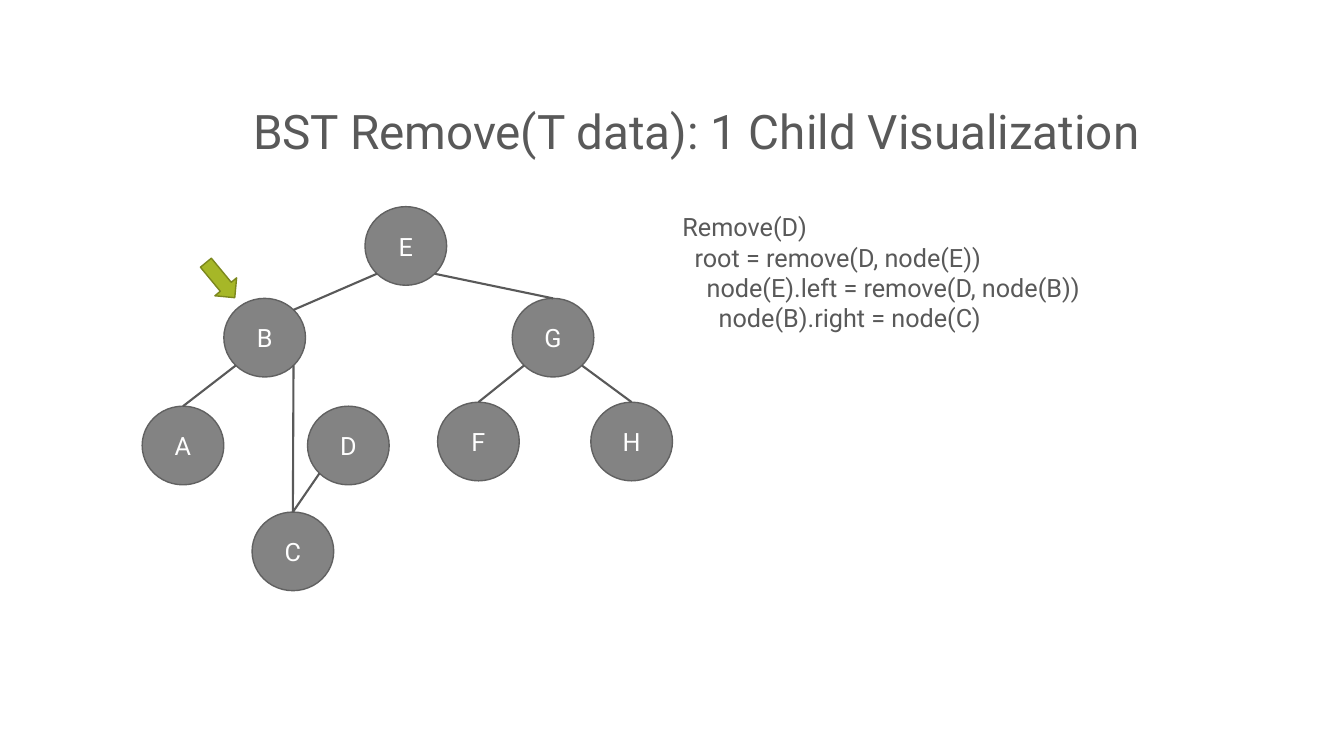
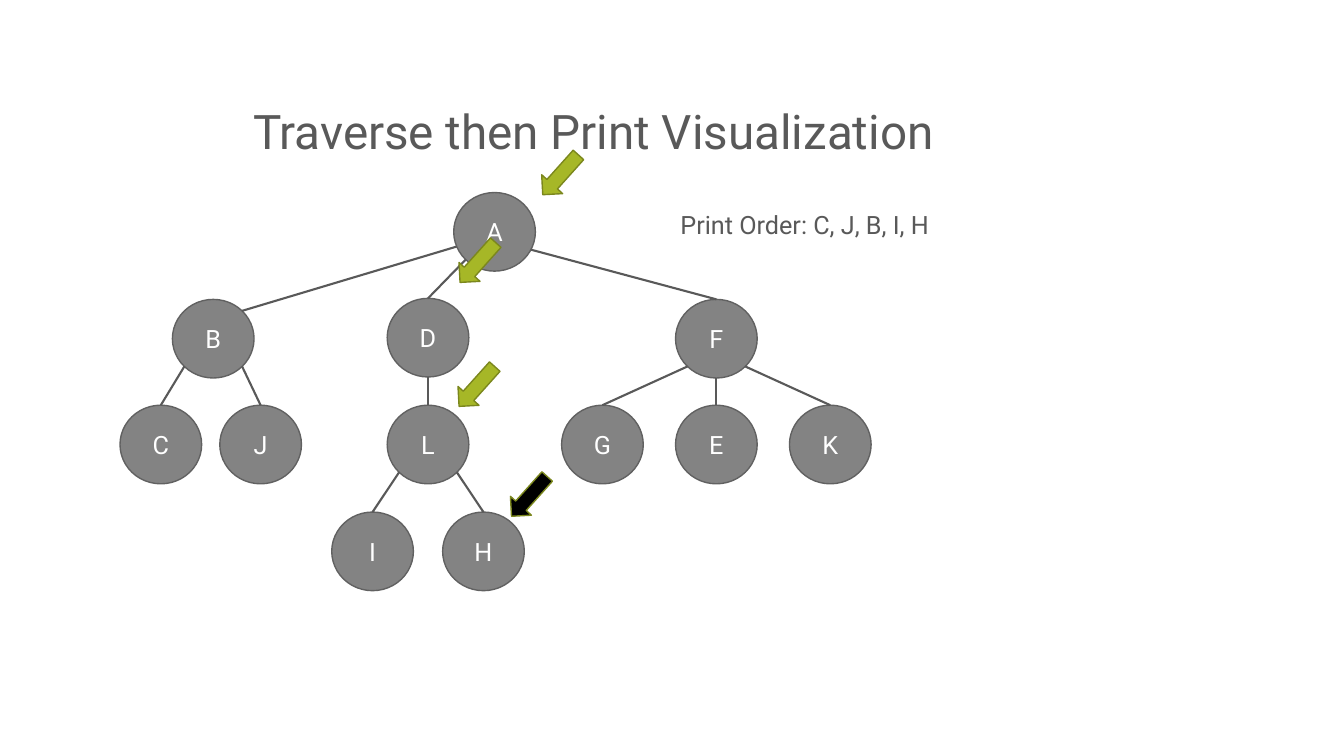
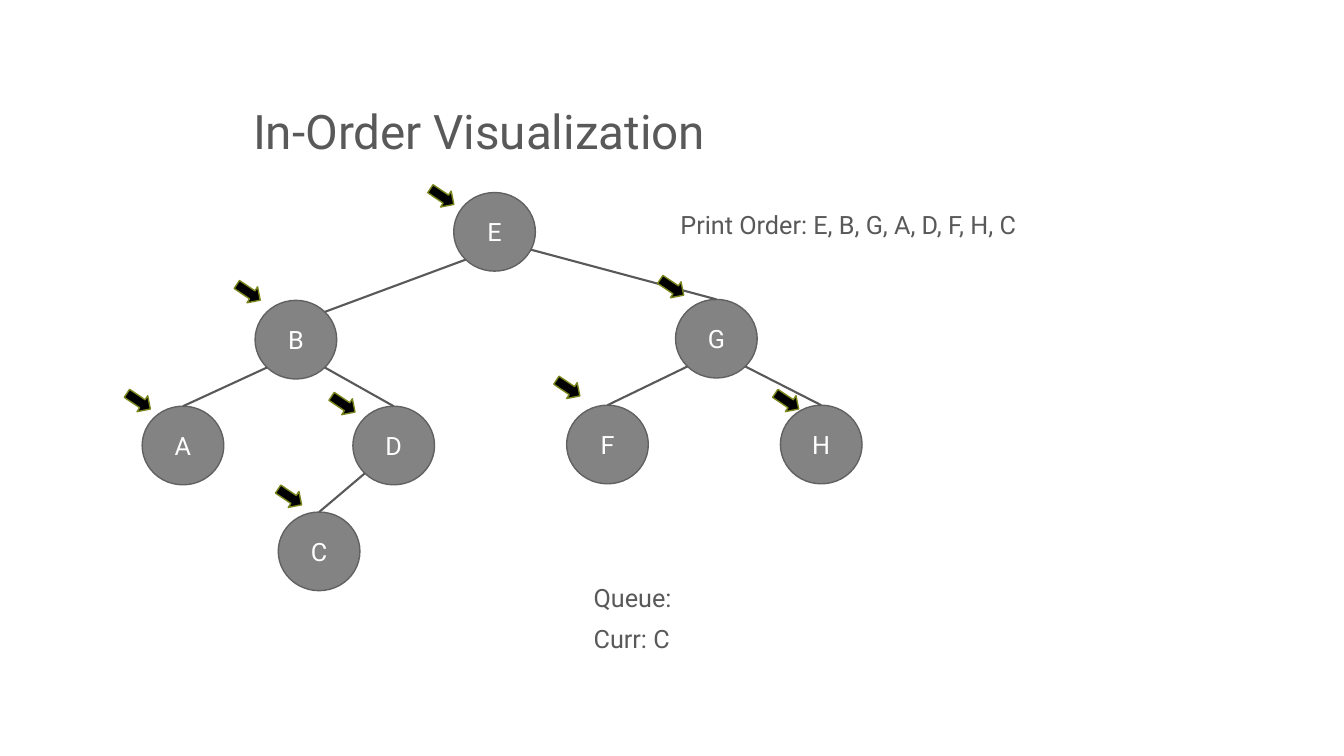
import math

from lxml import etree
from pptx import Presentation
from pptx.dml.color import RGBColor
from pptx.enum import shapes, text
from pptx.oxml.ns import qn
from pptx.util import Pt

PX = 9144  # EMU per px, 100 px to the inch
FONT = "Roboto"
INK, WHITE, BLACK = "595959", "FFFFFF", "000000"
NODE_FILL, NODE_LINE = "838383", "616161"
GREEN, ARROW_LINE = "A6B727", "7B871D"
NODE_WIDTH, NODE_HEIGHT = 81, 78
INDENT = 12

# Where an edge meets a node: degrees clockwise from the right
RIGHT_LOW, LOWER_RIGHT, BOTTOM, LOWER_LEFT = 27, 45, 90, 135
LEFT_LOW, TOP, UPPER_RIGHT = 158, 270, 315


def emu(*lengths):
    return [round(length * PX) for length in lengths]


def color(hex_code):
    return RGBColor.from_string(hex_code)


def format_runs(paragraph, size, hex_code):
    for run in paragraph.runs:
        run.font.name = FONT
        run.font.size = Pt(size)
        run.font.color.rgb = color(hex_code)


def add_titled_slide(presentation, title):
    slide = presentation.slides.add_slide(presentation.slide_layouts[5])
    shape = slide.shapes.title
    shape.left, shape.top, shape.width, shape.height = emu(241, 33, 1025, 131)
    frame = shape.text_frame
    frame.text = title
    frame.word_wrap = True
    frame.auto_size = text.MSO_AUTO_SIZE.NONE
    frame.vertical_anchor = text.MSO_ANCHOR.BOTTOM
    paragraph = frame.paragraphs[0]
    paragraph.alignment = text.PP_ALIGN.LEFT
    paragraph.line_spacing = 0.9
    format_runs(paragraph, 34, INK)
    return slide


def add_filled_shape(slide, kind, box, fill, line):
    shape = slide.shapes.add_shape(kind, *emu(*box))
    shape.shadow.inherit = False
    shape.fill.solid()
    shape.fill.fore_color.rgb = color(fill)
    shape.line.color.rgb = color(line)
    shape.line.width = Pt(1)
    return shape


def add_node(slide, label, left, top):
    node = add_filled_shape(slide, shapes.MSO_SHAPE.OVAL,
                            (left, top, NODE_WIDTH, NODE_HEIGHT), NODE_FILL, NODE_LINE)
    frame = node.text_frame
    frame.text = label
    frame.vertical_anchor = text.MSO_ANCHOR.MIDDLE
    frame.paragraphs[0].alignment = text.PP_ALIGN.CENTER
    format_runs(frame.paragraphs[0], 18, WHITE)
    return node


def rim_point(node, angle):
    """Return the point on the node's outline at the angle, in EMU."""
    turn = math.radians(angle)
    return (round(node.left + node.width / 2 * (1 + math.cos(turn))),
            round(node.top + node.height / 2 * (1 + math.sin(turn))))


def add_edge(slide, parent, parent_angle, child, child_angle=TOP):
    edge = slide.shapes.add_connector(shapes.MSO_CONNECTOR.STRAIGHT,
                                      *rim_point(parent, parent_angle),
                                      *rim_point(child, child_angle))
    if child_angle == TOP:
        edge.end_connect(child, 0)
    edge.line.color.rgb = color(INK)
    edge.line.width = Pt(1.5)
    etree.SubElement(edge._element.spPr, qn("a:effectLst"))


def add_tree(slide, positions, edges):
    nodes = {label: add_node(slide, label, *position)
             for label, position in positions.items()}
    for parent, parent_angle, child, *child_angle in edges:
        add_edge(slide, nodes[parent], parent_angle, nodes[child], *child_angle)


def add_text(slide, box, lines):
    """Add lines of text, each one given as (indent level, words)."""
    frame = slide.shapes.add_textbox(*emu(*box)).text_frame
    frame.word_wrap = False
    frame.auto_size = text.MSO_AUTO_SIZE.SHAPE_TO_FIT_TEXT
    frame.text = "\n".join(words for _, words in lines)
    for paragraph, (level, _) in zip(frame.paragraphs, lines):
        paragraph._p.get_or_add_pPr().set("marL", str(level * INDENT * PX))
        format_runs(paragraph, 18, INK)


def add_pointer(slide, box, rotation, fill, kind=shapes.MSO_SHAPE.DOWN_ARROW):
    pointer = add_filled_shape(slide, kind, box, fill, ARROW_LINE)
    pointer.rotation = rotation


def build_remove_slide(presentation):
    slide = add_titled_slide(presentation, "BST Remove(T data): 1 Child Visualization")
    positions = {"E": (362, 205), "B": (222, 296), "G": (508, 296), "A": (141, 403),
                 "D": (305, 403), "F": (434, 399), "C": (250, 508), "H": (586, 399)}
    add_tree(slide, positions, [
        ("E", LOWER_LEFT, "B", UPPER_RIGHT), ("E", LOWER_RIGHT, "G"),
        ("B", LOWER_LEFT, "A"), ("B", LOWER_RIGHT, "C"),
        ("G", LOWER_LEFT, "F"), ("G", LOWER_RIGHT, "H"), ("D", LOWER_LEFT, "C")])
    calls = ["Remove(D)", "root = remove(D, node(E))",
             "node(E).left = remove(D, node(B))", "node(B).right = node(C)"]
    add_text(slide, (667, 205, 452, 131), list(enumerate(calls)))
    add_pointer(slide, (196, 264, 45, 28), 50.5, GREEN, shapes.MSO_SHAPE.RIGHT_ARROW)


def build_traverse_slide(presentation):
    slide = add_titled_slide(presentation, "Traverse then Print Visualization")
    positions = {"A": (450, 191), "B": (171, 297), "D": (384, 296), "F": (670, 297),
                 "K": (783, 402), "C": (119, 402), "E": (670, 402), "J": (218, 402),
                 "G": (557, 402), "L": (384, 402), "I": (329, 508), "H": (439, 508)}
    add_tree(slide, positions, [
        ("A", LEFT_LOW, "B", UPPER_RIGHT), ("A", LOWER_LEFT, "D"), ("A", RIGHT_LOW, "F"),
        ("B", LOWER_LEFT, "C"), ("B", LOWER_RIGHT, "J"), ("D", BOTTOM, "L"),
        ("L", LOWER_LEFT, "I"), ("L", LOWER_RIGHT, "H"),
        ("F", LOWER_LEFT, "G"), ("F", BOTTOM, "E"), ("F", LOWER_RIGHT, "K")])
    add_text(slide, (665, 203, 284, 40), [(0, "Print Order: C, J, B, I, H")])
    for left, top, fill in [(460, 234, GREEN), (542, 147, GREEN),
                            (459, 357, GREEN), (511, 466, BLACK)]:
        add_pointer(slide, (left, top, 28, 53), 41.9, fill)


def build_in_order_slide(presentation):
    slide = add_titled_slide(presentation, "In-Order Visualization")
    positions = {"E": (450, 191), "B": (253, 298), "G": (670, 297), "A": (141, 403),
                 "D": (350, 403), "F": (562, 402), "C": (276, 508), "H": (774, 402)}
    add_tree(slide, positions, [
        ("E", LOWER_LEFT, "B", UPPER_RIGHT), ("E", RIGHT_LOW, "G"),
        ("B", LOWER_LEFT, "A"), ("B", LOWER_RIGHT, "D"), ("D", LOWER_LEFT, "C"),
        ("G", LOWER_LEFT, "F"), ("G", LOWER_RIGHT, "H")])
    add_text(slide, (665, 203, 381, 40), [(0, "Print Order: E, B, G, A, D, F, H, C")])
    add_text(slide, (579, 573, 104, 40), [(0, "Queue:")])
    add_text(slide, (579, 613, 100, 40), [(0, "Curr: C")])
    for left, top in [(429, 181), (237, 276), (657, 271), (128, 384),
                      (331, 387), (278, 479), (554, 371), (771, 384)]:
        add_pointer(slide, (left, top, 19, 28), 303.8, BLACK)


def main():
    presentation = Presentation()
    presentation.slide_width, presentation.slide_height = emu(1333, 750)
    build_remove_slide(presentation)
    build_traverse_slide(presentation)
    build_in_order_slide(presentation)
    presentation.save("out.pptx")


if __name__ == "__main__":
    main()
